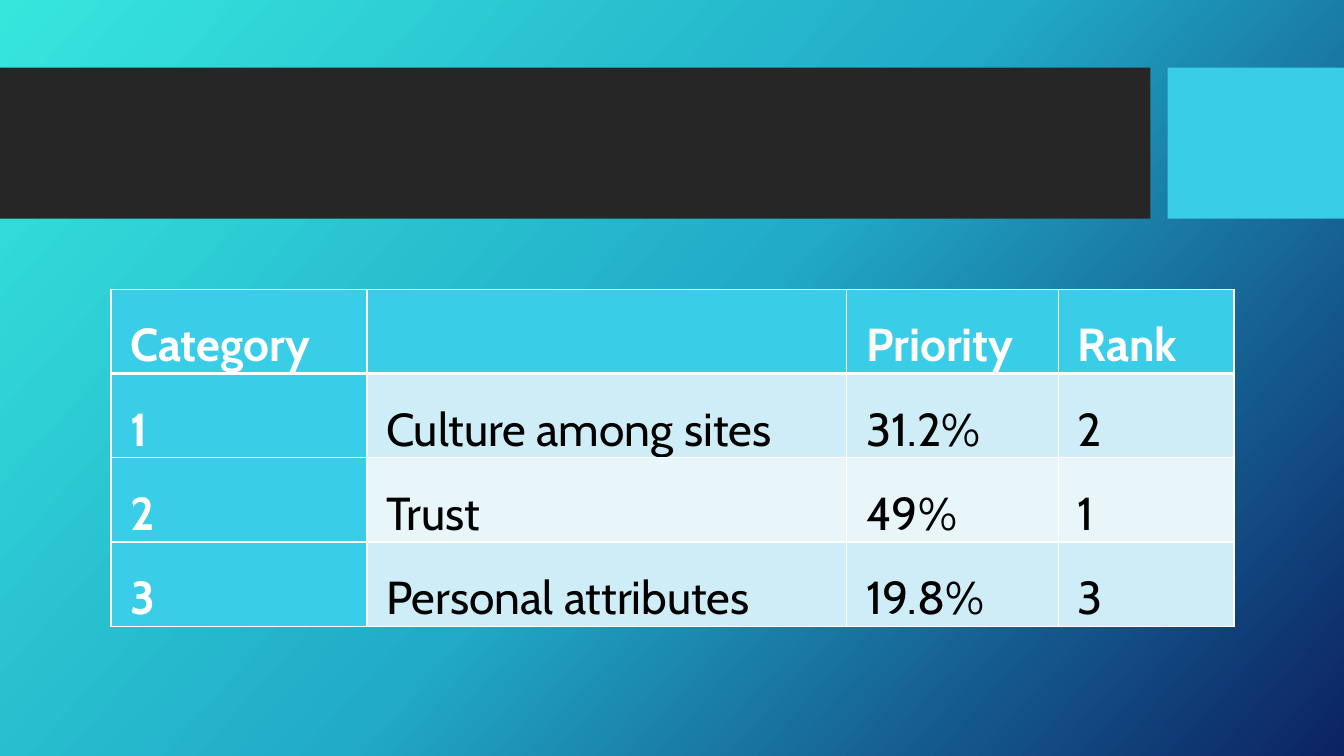
from copy import deepcopy
from lxml.etree import SubElement
from pptx import Presentation
from pptx.dml.color import RGBColor
from pptx.enum.shapes import MSO_SHAPE
from pptx.oxml.ns import qn
from pptx.util import Inches, Pt

COLORS = {
    "aqua": "36E6DD", "teal": "21ABC8", "navy": "0C2263",
    "dark": "262626", "cyan": "39CDE7", "band": "CEEDF6",
    "pale": "E8F6FA", "white": "FFFFFF", "black": "000000",
}


def rgb(name):
    return RGBColor.from_string(COLORS[name])


def write(tf, text, size=33, font="Cabin", color="black", bold=False, spacing=1.5):
    p = tf.paragraphs[0]
    p.line_spacing = spacing
    r = p.add_run()
    r.text = text
    r.font.size = Pt(size)
    r.font.name = font
    r.font.bold = bold
    r.font.color.rgb = rgb(color)


prs = Presentation()
prs.slide_width = Inches(13.33)
prs.slide_height = Inches(7.5)
s = prs.slides.add_slide(prs.slide_layouts[6])

fill = s.background.fill
fill.gradient()
fill.gradient_angle = 360 - 42
stop_list = next(s.element.iter(qn("a:gsLst")))
stop_list.append(deepcopy(stop_list[0]))
for stop, position, color in zip(fill.gradient_stops, (0, 0.5, 1), ("aqua", "teal", "navy")):
    stop.position = position
    stop.color.rgb = rgb(color)

for left, width, color in ((0, 11.41, "dark"), (11.58, 1.75, "cyan")):
    sp = s.shapes.add_shape(MSO_SHAPE.RECTANGLE, Inches(left), Inches(0.67), Inches(width), Inches(1.5))
    sp.shadow.inherit = False
    sp.fill.solid()
    sp.fill.fore_color.rgb = rgb(color)
    sp.line.fill.background()

rows = [
    ("Category", "", "Priority", "Rank"),
    ("1", "Culture among sites", "31.2%", "2"),
    ("2", "Trust", "49%", "1"),
    ("3", "Personal attributes", "19.8%", "3"),
]
widths = (2.54, 4.76, 2.1, 1.74)
table = s.shapes.add_table(
    len(rows), len(widths), Inches(1.1), Inches(2.87), Inches(sum(widths)), Inches(3.32)
).table
for column, width in zip(table.columns, widths):
    column.width = Inches(width)

for i, row in enumerate(rows):
    table.rows[i].height = Inches(0.83)
    for j, text in enumerate(row):
        cell = table.cell(i, j)
        cell.margin_left = cell.margin_right = Inches(0.19)
        cell.margin_top = cell.margin_bottom = 0
        heading = i == 0 or j == 0
        borders = {"lnL": 1, "lnR": 1, "lnT": 3 if i == 1 else 1, "lnB": 3 if i == 0 else 1}
        for side, weight in borders.items():
            ln = SubElement(cell._tc.get_or_add_tcPr(), qn(f"a:{side}"), w=str(Pt(weight)))
            SubElement(SubElement(ln, qn("a:solidFill")), qn("a:srgbClr"), val=COLORS["white"])
        cell.fill.solid()
        cell.fill.fore_color.rgb = rgb("cyan" if heading else "band" if i % 2 else "pale")
        if text:
            write(cell.text_frame, text, color="white" if heading else "black", bold=heading)

prs.save("out.pptx")
